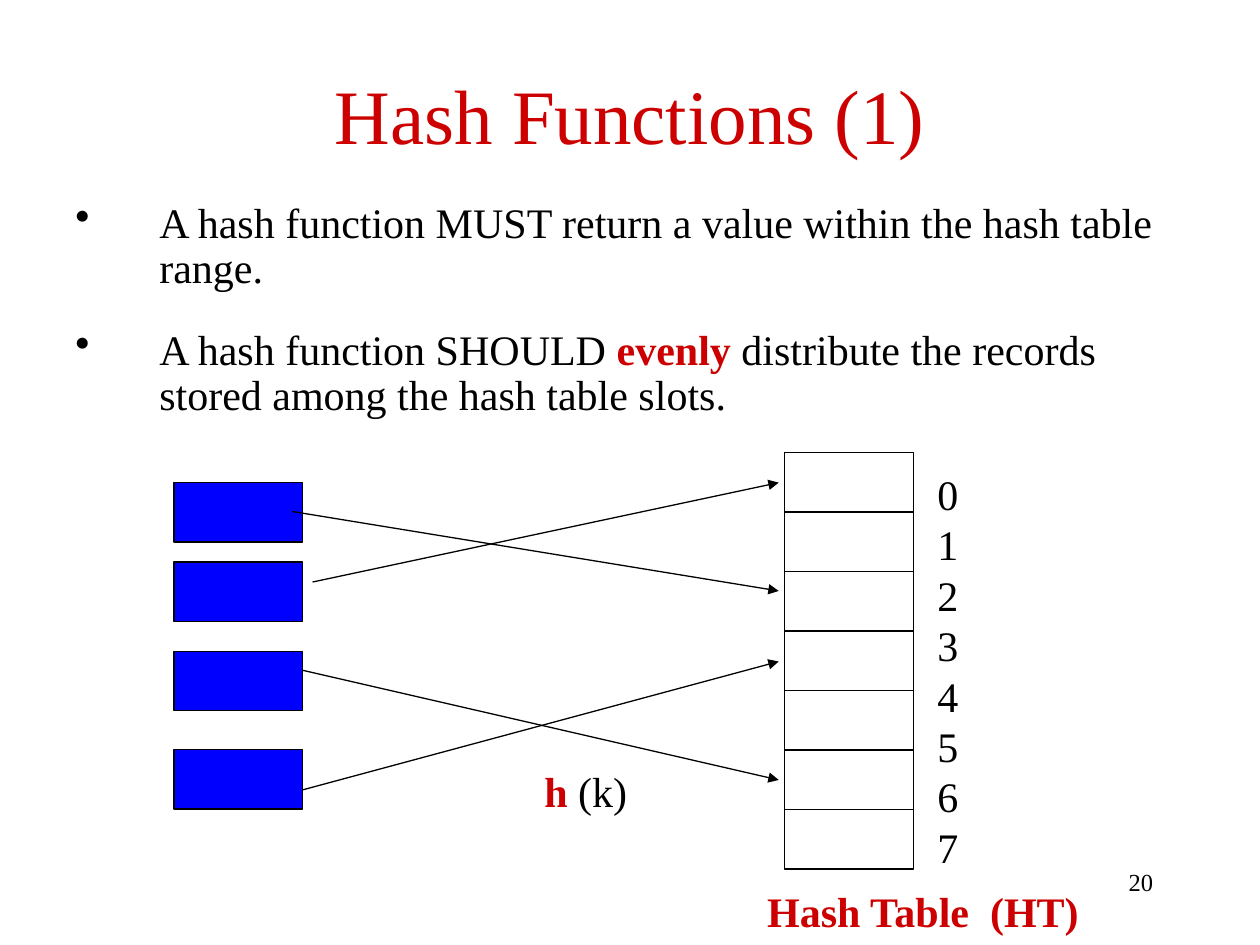
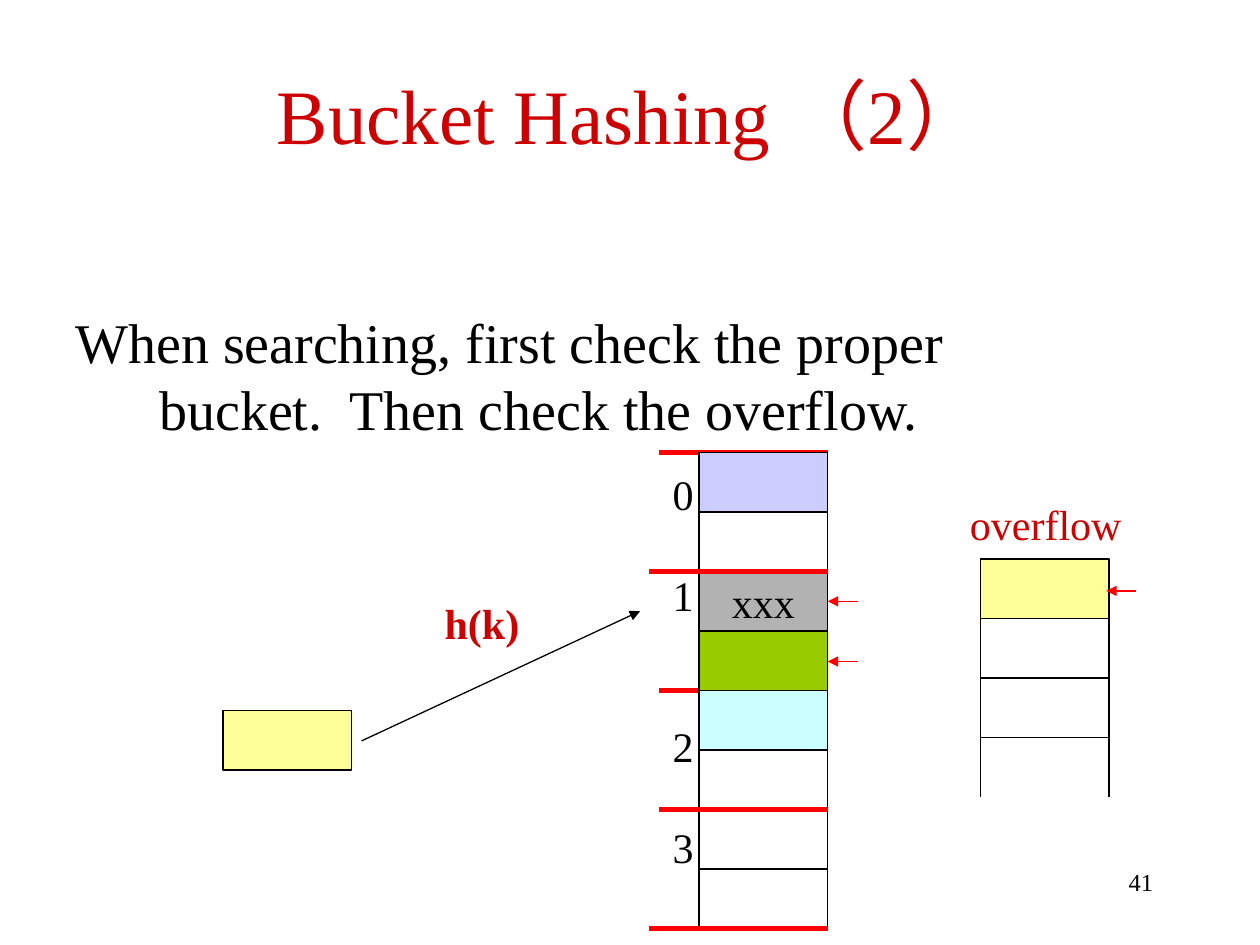
"""Build two slides on hash functions and bucket hashing."""
from dataclasses import dataclass

from lxml.etree import SubElement
from pptx import Presentation
from pptx.dml.color import RGBColor
from pptx.enum.shapes import MSO_CONNECTOR, MSO_SHAPE
from pptx.enum.text import MSO_ANCHOR, PP_ALIGN
from pptx.oxml.ns import qn
from pptx.util import Pt


@dataclass(frozen=True)
class Theme:
    font: str = "Times New Roman"
    ink: str = "000000"
    accent: str = "CC0000"
    rule: str = "FF0000"
    blue: str = "0000FF"
    gray: str = "B2B2B2"
    green: str = "99CC00"
    lilac: str = "CCCCFF"
    aqua: str = "CCFFFF"
    yellow: str = "FFFF99"
    head: int = 44
    large: int = 32
    text: int = 24
    small: int = 14
    thin: float = 0.75
    thick: float = 3
    lead: float = 1.2


THEME = Theme()
CELL_W, CELL_H = 73.5, 34
PITCH = 34.02
TOP = 258.5
STRONG = {"evenly", "h", "h(k)", "Hash Table  (HT)"}

HASH = {
    "title": "Hash Functions (1)",
    "page": "20",
    "points": [
        ["A hash function MUST return a value within the hash table range."],
        ["A hash function SHOULD ", "evenly",
         " distribute the records stored among the hash table slots."],
    ],
    "keys": [275.8, 321.1, 372.2, 428.4],
    "slots": 7,
    "arrows": [
        (167, 292.3, 445, 337.7),
        (178.6, 332.6, 445, 275.8),
        (172.8, 383, 445, 445.7),
        (172.8, 451.4, 445, 378),
    ],
    "marks": [(i, str(i)) for i in range(8)],
    "labels": [
        (["h", " (k)"], 304, 434, 61.5),
        (["Hash Table  (HT)"], 431.3, 502.6, 195.1),
    ],
}

BUCKET = {
    "title": "Bucket Hashing （2）",
    "page": "41",
    "points": [["When searching, first check the proper bucket.  "
                "Then check the overflow."]],
    "under": [(1, None, ""), (2, THEME.gray, "xxx"), (6, None, ""),
              (5, None, ""), (7, None, "")],
    "over": [(3, THEME.green, ""), (0, THEME.lilac, ""),
             (4, THEME.aqua, "")],
    "rules": [(0, 376.6), (2, 370.8), (4, 376.6), (6, 376.6), (8, 370.8)],
    "marks": [(0, "0"), (2, "1"), (5, "2"), (7, "3")],
    "probes": [(473, 343.6), (473, 378), (632.2, 337.7)],
    "spill": [THEME.yellow, None, None],
}


def color(code):
    return RGBColor.from_string(code)


def style(para, size, ink=THEME.ink, ratio=1, before=0, align=PP_ALIGN.LEFT):
    para.alignment = align
    para.line_spacing = Pt(round(size * THEME.lead * ratio, 2))
    para.space_before = Pt(before)
    for run in para.runs:
        strong = run.text in STRONG
        run.font.name = THEME.font
        run.font.size = Pt(size)
        run.font.bold = strong
        run.font.color.rgb = color(THEME.accent if strong else ink)


def fill_para(para, parts):
    para.text = parts[0]
    for part in parts[1:]:
        para.add_run().text = part


def text_box(slide, x, y, w, h=36, wrap=False):
    frame = slide.shapes.add_textbox(Pt(x), Pt(y), Pt(w), Pt(h)).text_frame
    frame.word_wrap = wrap
    return frame


def label(slide, parts, x, y, w, ink=THEME.ink):
    para = text_box(slide, x, y, w).paragraphs[0]
    fill_para(para, parts)
    style(para, THEME.text, ink)


def base(deck, data):
    slide = deck.slides.add_slide(deck.slide_layouts[6])
    page = text_box(slide, 516.2, 491.8, 149.8, wrap=True)
    page.text = data["page"]
    style(page.paragraphs[0], THEME.small, align=PP_ALIGN.RIGHT)
    title = text_box(slide, 36, 28.8, 648, 72, wrap=True)
    title.vertical_anchor = MSO_ANCHOR.MIDDLE
    title.text = data["title"]
    style(title.paragraphs[0], THEME.head, THEME.accent,
          align=PP_ALIGN.CENTER)
    return slide


def body(slide, points, area, size, ratio=1, bullet=False):
    frame = text_box(slide, *area, wrap=True)
    for i, parts in enumerate(points):
        para = frame.add_paragraph() if i else frame.paragraphs[0]
        props = para._p.get_or_add_pPr()
        props.set("marL", str(Pt(48)))
        props.set("indent", str(Pt(-48)))
        if bullet:
            SubElement(props, qn("a:buChar")).set("char", "•")
        fill_para(para, parts)
        style(para, size, ratio=ratio, before=20.5 if i else 0)


def marks(slide, rows, x):
    frame = text_box(slide, x, 264.2, 26, 237.6)
    last = 0
    for i, (row, name) in enumerate(rows):
        para = frame.add_paragraph() if i else frame.paragraphs[0]
        para.text = name
        skip = max(row - last - 1, 0)
        style(para, THEME.text, before=skip * THEME.text * THEME.lead)
        last = row


def cell(slide, x, y, fill=None, text=""):
    box = slide.shapes.add_shape(MSO_SHAPE.RECTANGLE, Pt(x), Pt(y),
                                 Pt(CELL_W), Pt(CELL_H))
    box.shadow.inherit = False
    if fill:
        box.fill.solid()
        box.fill.fore_color.rgb = color(fill)
    else:
        box.fill.background()
    box.line.color.rgb = color(THEME.ink)
    box.line.width = Pt(THEME.thin)
    if text:
        box.text_frame.text = text
        box.text_frame.word_wrap = False
        style(box.text_frame.paragraphs[0], THEME.text,
              align=PP_ALIGN.CENTER)


def line(slide, ends, ink=THEME.ink, width=THEME.thin, arrow=False):
    link = slide.shapes.add_connector(MSO_CONNECTOR.STRAIGHT,
                                      *[Pt(end) for end in ends])
    link.line.color.rgb = color(ink)
    link.line.width = Pt(width)
    if arrow:
        SubElement(link.line._get_or_add_ln(),
                   qn("a:tailEnd")).set("type", "triangle")
    SubElement(link._element.spPr, qn("a:effectLst"))


def hash_slide(deck):
    slide = base(deck, HASH)
    body(slide, HASH["points"], (36, 111.6, 658.8, 132), THEME.text,
         ratio=0.9, bullet=True)
    for y in HASH["keys"]:
        cell(slide, 99.4, y, THEME.blue)
    for row in range(HASH["slots"]):
        cell(slide, 448.4, TOP + row * PITCH)
    for ends in HASH["arrows"]:
        line(slide, ends, arrow=True)
    for item in HASH["labels"]:
        label(slide, *item)
    marks(slide, HASH["marks"], 528.5)


def bucket_slide(deck):
    slide = base(deck, BUCKET)
    body(slide, BUCKET["points"], (36, 172.3, 590.4, 84), THEME.large)
    left = 399.5
    right = left + CELL_W
    for row, fill, text in BUCKET["under"]:
        cell(slide, left, TOP + row * PITCH, fill, text)
    for row, start in BUCKET["rules"]:
        y = TOP + row * PITCH
        line(slide, (start, y, right, y), THEME.rule, THEME.thick)
    for row, fill, text in BUCKET["over"]:
        cell(slide, left, TOP + row * PITCH, fill, text)
    marks(slide, BUCKET["marks"], 377.3)

    cell(slide, 127.4, 406.1, THEME.yellow)
    label(slide, ["h(k)"], 247, 337.7, 56.9)
    line(slide, (206.6, 423.4, 365.8, 349.2), arrow=True)

    spill_x, spill_y = 560.2, 319.5
    label(slide, ["overflow"], 547.2, 281.5, 100.8, THEME.accent)
    for row, fill in reversed(list(enumerate(BUCKET["spill"]))):
        cell(slide, spill_x, spill_y + row * PITCH, fill)
    end = spill_y + len(BUCKET["spill"]) * PITCH
    for x in (spill_x, spill_x + CELL_W):
        line(slide, (x, end, x, end + PITCH))
    for x, y in BUCKET["probes"]:
        line(slide, (x + 17.2, y, x, y), THEME.rule, arrow=True)


def main():
    deck = Presentation()
    deck.slide_width, deck.slide_height = Pt(720), Pt(540)
    hash_slide(deck)
    bucket_slide(deck)
    deck.save("out.pptx")


if __name__ == "__main__":
    main()
